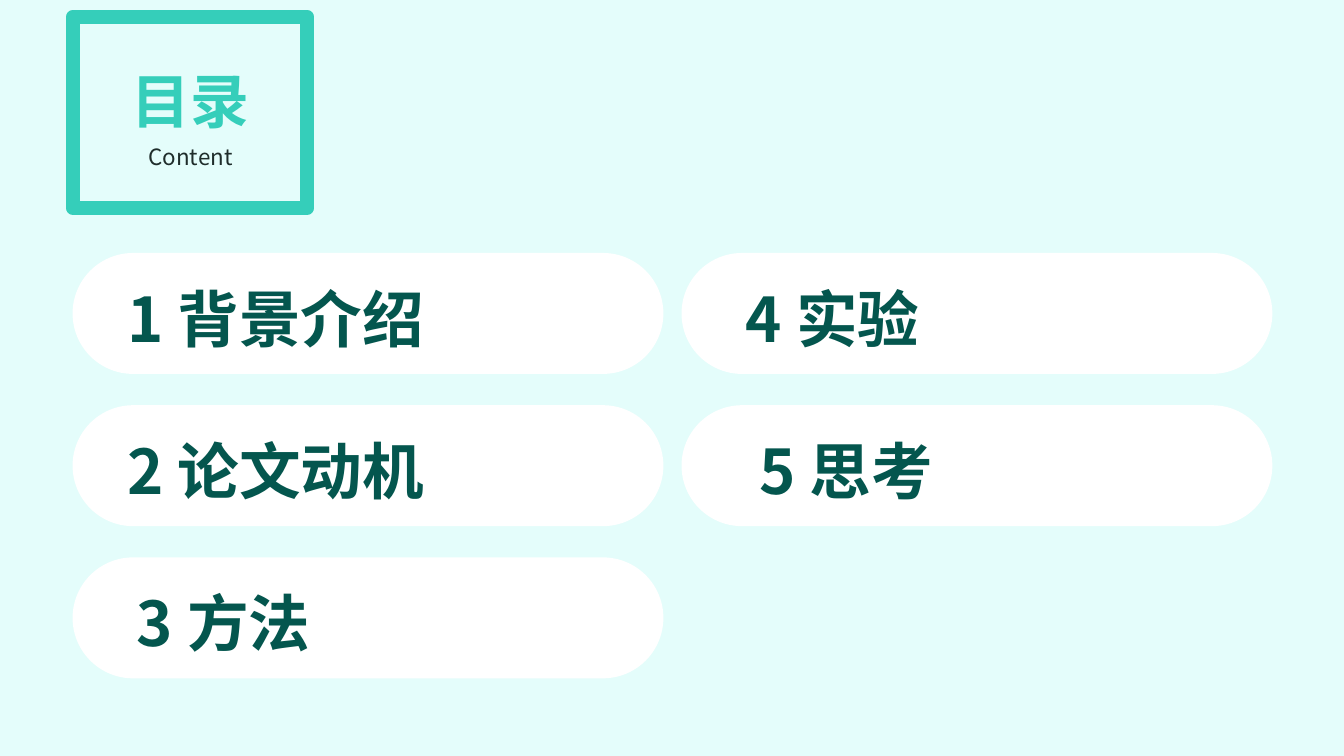
from lxml.etree import SubElement
from pptx import Presentation
from pptx.dml.color import RGBColor
from pptx.enum.shapes import MSO_SHAPE
from pptx.enum.text import MSO_ANCHOR, PP_ALIGN
from pptx.oxml.ns import qn
from pptx.util import Inches, Pt

FONT = "Noto Sans CJK SC"
COLORS = {
    "wash": "21F4DF",
    "pill": "FFFFFF",
    "entry": "04564E",
    "accent": "35CEBA",
    "caption": "1F2D2B",
}
ROWS_PER_COLUMN = 3
PILL_LEFT, PILL_TOP = 0.72, 2.51
COLUMN_STEP, ROW_STEP = 6.04, 1.51
ENTRIES = [
    ("1 背景介绍", 3.53, PP_ALIGN.CENTER, 0.1),
    ("2 论文动机", 3.53, PP_ALIGN.CENTER, 0.1),
    ("3 方法", 2.5, PP_ALIGN.CENTER, 0.1),
    ("4 实验", 2.5, PP_ALIGN.CENTER, 0.1),
    ("5 思考", 2.5, PP_ALIGN.LEFT, 0.52),
]


def color(name):
    return RGBColor.from_string(COLORS[name])


def add_block(page, kind, left, top, width, height, fill=None):
    block = page.shapes.add_shape(
        kind, Inches(left), Inches(top), Inches(width), Inches(height)
    )
    block.shadow.inherit = False
    block.line.fill.background()
    if fill:
        block.fill.solid()
        block.fill.fore_color.rgb = color(fill)
    else:
        block.fill.background()
    return block


def add_wash(page):
    wash = add_block(page, MSO_SHAPE.RECTANGLE, 0, 0, 13.33, 7.5, "wash")
    fill_color = wash.fill._xPr.find(qn("a:solidFill"))[0]
    SubElement(fill_color, qn("a:alpha"), val="12000")


def add_label(page, text, left, top, width, height, size, ink,
              bold=False, align=PP_ALIGN.CENTER, anchor=MSO_ANCHOR.TOP, inset=0.1):
    box = page.shapes.add_textbox(
        Inches(left), Inches(top), Inches(width), Inches(height)
    )
    frame = box.text_frame
    frame.word_wrap = True
    frame.vertical_anchor = anchor
    frame.margin_left = Inches(inset)
    para = frame.paragraphs[0]
    para.alignment = align
    span = para.add_run()
    span.text = text
    span.font.size = Pt(size)
    span.font.bold = bold
    span.font.name = FONT
    span.font.color.rgb = color(ink)
    SubElement(span.font._element, qn("a:ea"), typeface=FONT)


def add_entry(page, index, text, width, align, inset):
    column, row = divmod(index, ROWS_PER_COLUMN)
    left = PILL_LEFT + column * COLUMN_STEP
    top = PILL_TOP + row * ROW_STEP
    pill = add_block(page, MSO_SHAPE.ROUNDED_RECTANGLE, left, top, 5.86, 1.2, "pill")
    pill.adjustments[0] = 0.5
    add_label(page, text, left + 0.25, top + 0.22, width, 0.84, 44, "entry",
              bold=True, align=align, anchor=MSO_ANCHOR.MIDDLE, inset=inset)


def add_heading(page):
    border = add_block(page, MSO_SHAPE.RECTANGLE, 0.72, 0.17, 2.33, 1.89)
    border.line.color.rgb = color("accent")
    border.line.width = Pt(10)
    add_label(page, "目录", 0.95, 0.59, 1.88, 0.72, 42, "accent", bold=True)
    add_label(page, "Content", 0.95, 1.37, 1.88, 0.34, 16, "caption")


def main():
    deck = Presentation()
    deck.slide_width = Inches(13.33)
    deck.slide_height = Inches(7.5)
    page = deck.slides.add_slide(deck.slide_layouts[6])
    add_wash(page)
    for index, entry in enumerate(ENTRIES):
        add_entry(page, index, *entry)
    add_heading(page)
    deck.save("out.pptx")


if __name__ == "__main__":
    main()
